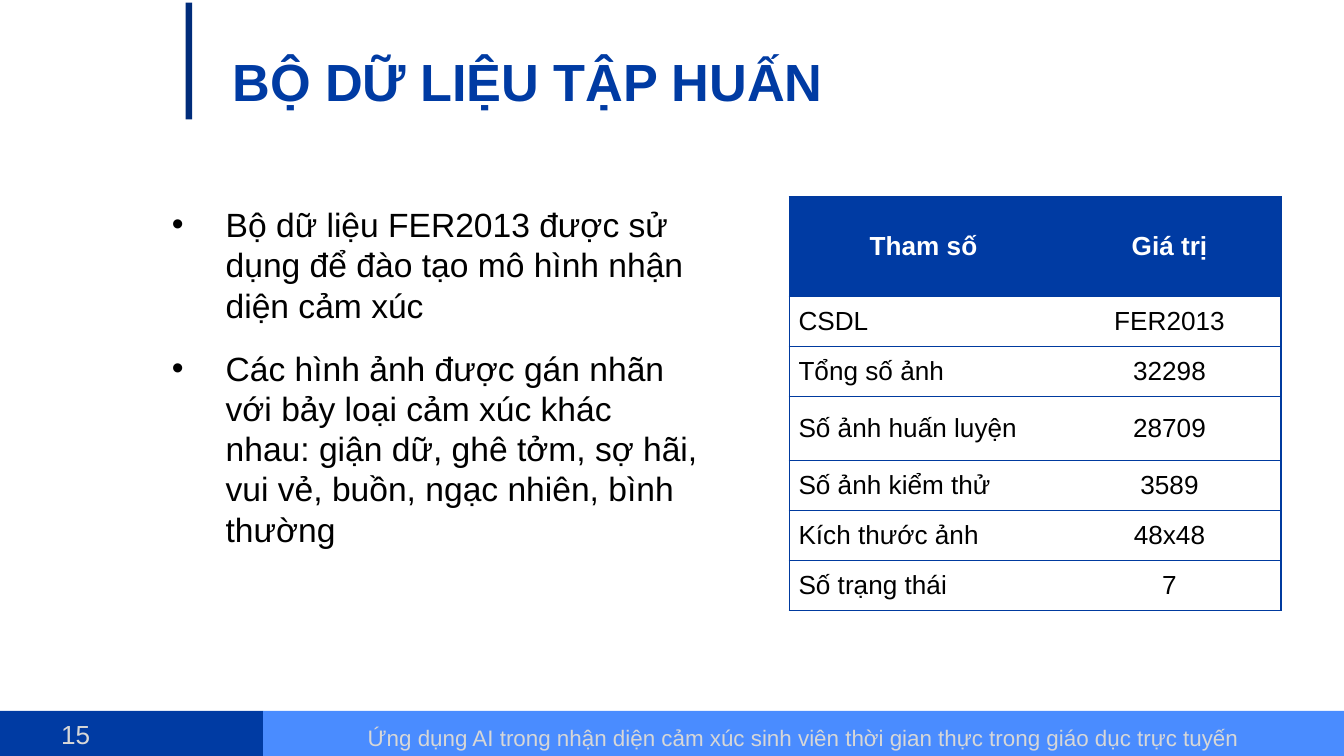
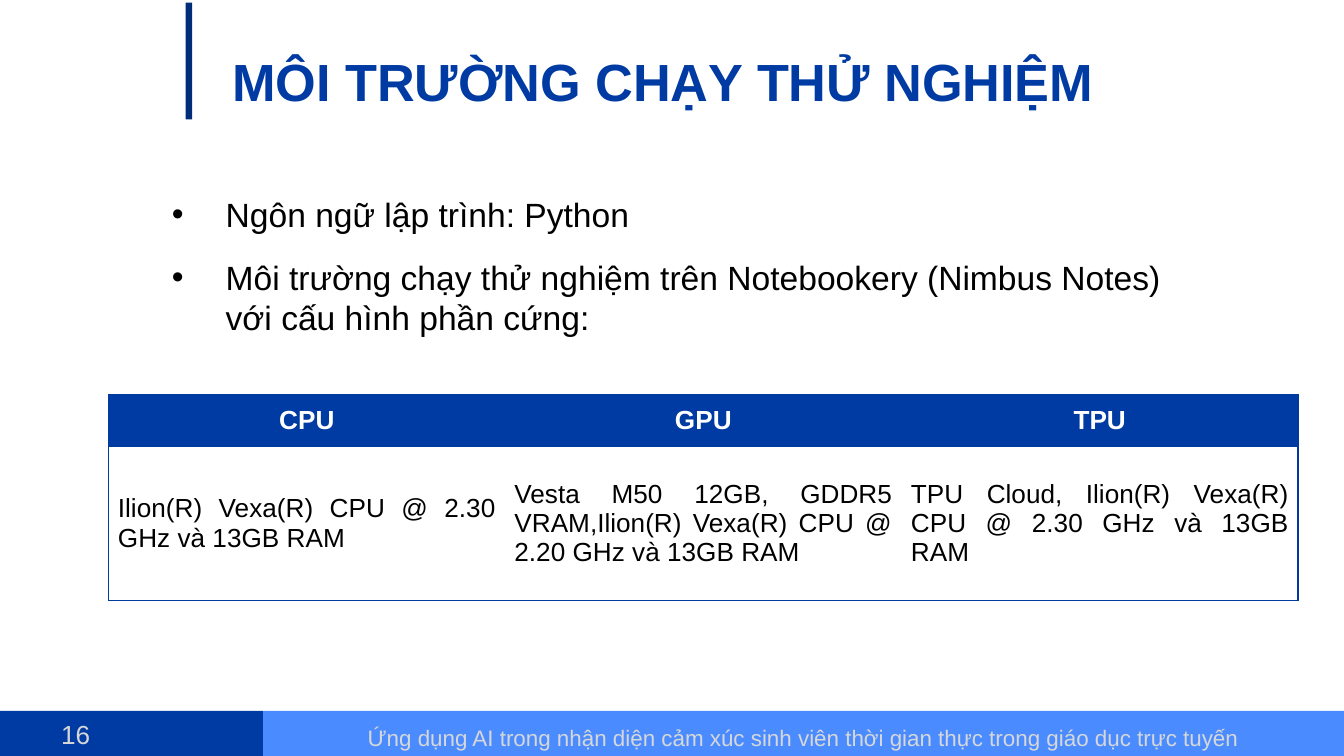
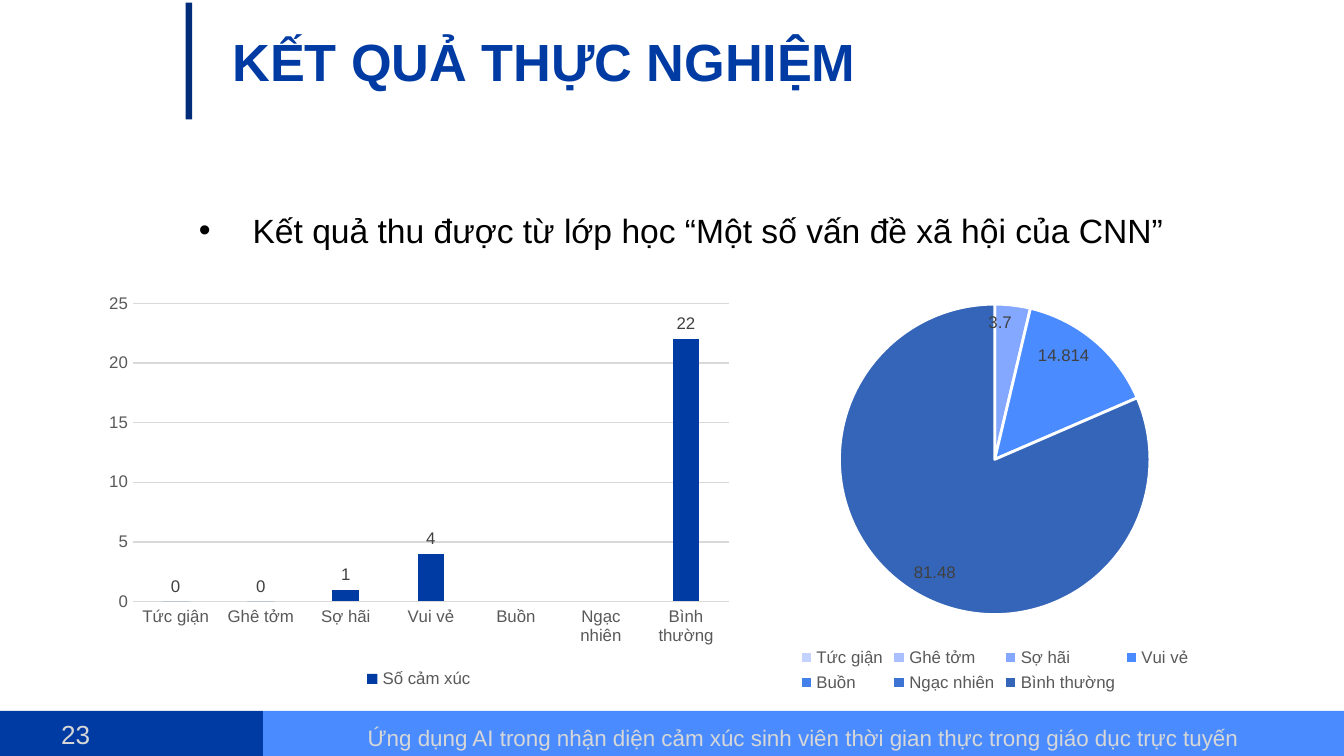
"""Build three slides on a training set, its test setup and the results."""
from lxml.etree import SubElement
from pptx import Presentation
from pptx.chart.data import CategoryChartData as ChartData
from pptx.dml.color import RGBColor as Rgb
from pptx.enum.chart import XL_CHART_TYPE as Kind, XL_LABEL_POSITION as Spot
from pptx.enum.chart import XL_LEGEND_POSITION as Side, XL_TICK_MARK as Tick
from pptx.enum.shapes import MSO_SHAPE as Form
from pptx.enum.text import MSO_ANCHOR as Anchor, PP_ALIGN as Align
from pptx.oxml.ns import qn
from pptx.util import Pt

FONT = "Arial"
WIDE, HIGH = 720, 405
HUES = {
    "navy": "003BA3", "sky": "4A8CFF", "bar": "002C7A", "edge": "003A9F",
    "pale": "D7D7D7", "white": "FFFFFF", "black": "000000",
    "grid": "D9D9D9", "axis": "595959", "label": "404040",
}
SLICES = ["C4D2FF", "A9BFFF", "84A7FF", "4A8CFF", "4480EA", "3D74D3", "3565B8"]
MOODS = ["Tức giận", "Ghê tởm", "Sợ hãi", "Vui vẻ", "Buồn", "Ngạc nhiên", "Bình thường"]
TOPIC = "Ứng dụng AI trong nhận diện cảm xúc sinh viên thời gian thực trong giáo dục trực tuyến"


def tint(name):
    return Rgb.from_string(HUES[name])


def style(font, size, hue, bold=False):
    font.name, font.size, font.bold = FONT, Pt(size), bold
    font.color.rgb = tint(hue)


class Deck:
    """Hold the shared style and the current slide."""

    def __init__(self):
        self.show = Presentation()
        self.show.slide_width, self.show.slide_height = Pt(WIDE), Pt(HIGH)
        self.slide = None

    def page(self, number, title, top=19.4):
        self.slide = self.show.slides.add_slide(self.show.slide_layouts[6])
        split, foot = 141, 380.8
        self.rect(0, foot, split, HIGH - foot, "navy")
        self.rect(split, foot, WIDE - split, HIGH - foot, "sky")
        self.text(0, 381.6, 55.4, 24.5, [str(number)], 14, "pale", Align.RIGHT)
        self.text(split, 381.6, WIDE - split, 24.5, [TOPIC], 12, "pale",
                  Align.CENTER)[0].line_spacing = 1.2
        self.text(117.4, top, 535.7, 45.4, [title], 28, "navy", bold=True, pad=7.2)
        self.rect(99.4, 1.4, 3.6, 62.6, "bar")

    def rect(self, x, y, w, h, hue):
        box = self.slide.shapes.add_shape(Form.RECTANGLE, Pt(x), Pt(y), Pt(w), Pt(h))
        box.shadow.inherit = False
        box.fill.solid()
        box.fill.fore_color.rgb = tint(hue)
        box.line.fill.background()

    def text(self, x, y, w, h, lines, size, hue, align=Align.LEFT,
             bold=False, pad=3.6, bullet=False):
        frame = self.slide.shapes.add_textbox(Pt(x), Pt(y), Pt(w), Pt(h)).text_frame
        frame.word_wrap = True
        frame.margin_top = frame.margin_bottom = Pt(pad)
        frame.text = "\n".join(lines)
        for para in frame.paragraphs:
            if bullet:
                self.dot(para)
            para.alignment = align
            style(para.font, size, hue, bold)
        return frame.paragraphs

    def dot(self, para):
        props = para._p.get_or_add_pPr()
        props.set("marL", str(Pt(28.8)))
        props.set("indent", str(-Pt(28.8)))
        color = SubElement(props, qn("a:buClr"))
        SubElement(color, qn("a:srgbClr"), val=HUES["black"])
        SubElement(props, qn("a:buFont"), typeface=FONT)
        SubElement(props, qn("a:buChar"), char="•")

    def points(self, x, y, w, h, lines):
        paras = self.text(x, y, w, h, lines, 18, "black", bullet=True)
        for para in paras[1:]:
            para.space_before = Pt(12)

    def table(self, x, y, cols, rows, data, aligns):
        grid = self.slide.shapes.add_table(
            len(rows), len(cols), Pt(x), Pt(y), Pt(sum(cols)), Pt(sum(rows))).table
        for col, size in zip(grid.columns, cols):
            col.width = Pt(size)
        for i, (row, size) in enumerate(zip(grid.rows, rows)):
            row.height = Pt(size)
            for j, cell in enumerate(row.cells):
                self.cell(cell, data[i][j], i == 0, aligns[j])
                self.edges(cell, j == 0, j == len(cols) - 1)

    def cell(self, cell, words, head, align):
        cell.text = words
        cell.vertical_anchor = Anchor.MIDDLE
        cell.margin_left = cell.margin_right = Pt(5)
        cell.margin_top = cell.margin_bottom = 0
        para = cell.text_frame.paragraphs[0]
        para.alignment = Align.CENTER if head else align
        para.space_after = Pt(2)
        style(para.font, 14, "white" if head else "black", head)
        if head:
            cell.fill.solid()
            cell.fill.fore_color.rgb = tint("navy")
        else:
            cell.fill.background()

    def edges(self, cell, first, last):
        props = cell._tc.get_or_add_tcPr()
        sides = {"lnL": first, "lnR": last, "lnT": True, "lnB": True}
        for spot, (side, drawn) in enumerate(sides.items()):
            line = SubElement(props, qn(f"a:{side}"), w=str(Pt(0.75)))
            if drawn:
                fill = SubElement(line, qn("a:solidFill"))
                SubElement(fill, qn("a:srgbClr"), val=HUES["edge"])
            else:
                SubElement(line, qn("a:noFill"))
            props.insert(spot, line)

    def chart(self, kind, x, y, w, h, name, values, spot):
        data = ChartData()
        data.categories = MOODS
        data.add_series(name, values)
        chart = self.slide.shapes.add_chart(kind, Pt(x), Pt(y), Pt(w), Pt(h), data).chart
        style(chart.font, 10, "black")
        chart.has_title = False
        chart.has_legend = True
        chart.legend.position = Side.BOTTOM
        chart.legend.include_in_layout = False
        style(chart.legend.font, 9, "axis")
        plot = chart.plots[0]
        plot.has_data_labels = True
        labels = plot.data_labels
        labels.show_value = True
        labels.position = spot
        style(labels.font, 9, "label")
        return chart, plot

    def bars(self, x, y, w, h, name, values):
        chart, plot = self.chart(Kind.COLUMN_CLUSTERED, x, y, w, h, name, values,
                                 Spot.OUTSIDE_END)
        plot.vary_by_categories = False
        plot.gap_width, plot.overlap = 219, -27
        fill = plot.series[0].format.fill
        fill.solid()
        fill.fore_color.rgb = tint("navy")
        cats, vals = chart.category_axis, chart.value_axis
        for axis in (cats, vals):
            axis.major_tick_mark = axis.minor_tick_mark = Tick.NONE
            style(axis.tick_labels.font, 9, "axis")
        vals.minimum_scale, vals.maximum_scale, vals.major_unit = 0, 25, 5
        vals.format.line.fill.background()
        for line in (cats.format.line, vals.major_gridlines.format.line):
            line.color.rgb, line.width = tint("grid"), Pt(0.75)

    def pie(self, x, y, w, h, name, values):
        _, plot = self.chart(Kind.PIE, x, y, w, h, name, values, Spot.INSIDE_END)
        plot.vary_by_categories = True
        plot.data_labels.number_format = "General;;;"
        plot.data_labels.number_format_is_linked = False
        for i, hue in enumerate(SLICES):
            form = plot.series[0].points[i].format
            form.fill.solid()
            form.fill.fore_color.rgb = Rgb.from_string(hue)
            form.line.color.rgb, form.line.width = tint("white"), Pt(1.5)


def main():
    deck = Deck()

    deck.page(15, "BỘ DỮ LIỆU TẬP HUẤN")
    deck.points(85, 105.8, 298.8, 193.7, [
        "Bộ dữ liệu FER2013 được sử dụng để đào tạo mô hình nhận diện cảm xúc",
        "Các hình ảnh được gán nhãn với bảy loại cảm xúc khác nhau: giận dữ, "
        "ghê tởm, sợ hãi, vui vẻ, buồn, ngạc nhiên, bình thường",
    ])
    facts = [
        ("Tham số", "Giá trị"), ("CSDL", "FER2013"), ("Tổng số ảnh", "32298"),
        ("Số ảnh huấn luyện", "28709"), ("Số ảnh kiểm thử", "3589"),
        ("Kích thước ảnh", "48x48"), ("Số trạng thái", "7"),
    ]
    deck.table(422.8, 105.5, [144, 119.5], [53.4, 26.8, 26.8, 34.4] + [26.8] * 3,
               facts, [Align.JUSTIFY, Align.CENTER])

    deck.page(16, "MÔI TRƯỜNG CHẠY THỬ NGHIỆM")
    setup = [
        ("CPU", "GPU", "TPU"),
        ("Ilion(R) Vexa(R) CPU @ 2.30 GHz và 13GB RAM",
         "Vesta M50 12GB, GDDR5 VRAM,Ilion(R) Vexa(R) CPU @ 2.20 GHz và 13GB RAM",
         "TPU Cloud, Ilion(R) Vexa(R) CPU @ 2.30 GHz và 13GB RAM"),
    ]
    deck.table(58.2, 211.4, [212.4] * 3, [27.6, 82.8], setup, [Align.JUSTIFY] * 3)
    deck.points(85, 100.3, 567.4, 85, [
        "Ngôn ngữ lập trình: Python",
        "Môi trường chạy thử nghiệm trên Notebookery (Nimbus Notes) "
        "với cấu hình phần cứng:",
    ])

    deck.page(23, "KẾT QUẢ THỰC NGHIỆM", top=8.6)
    deck.points(99.4, 108.7, 553, 28.8,
                ["Kết quả thu được từ lớp học “Một số vấn đề xã hội của CNN”"])
    deck.bars(51.6, 153, 345.6, 218.9, "Số cảm xúc", [0, 0, 1, 4, None, None, 22])
    deck.pie(397.2, 153, 271.4, 221, "Series 1", [0, 0, 3.7, 14.814, 0, 0, 81.48])

    deck.show.save("out.pptx")


if __name__ == "__main__":
    main()
